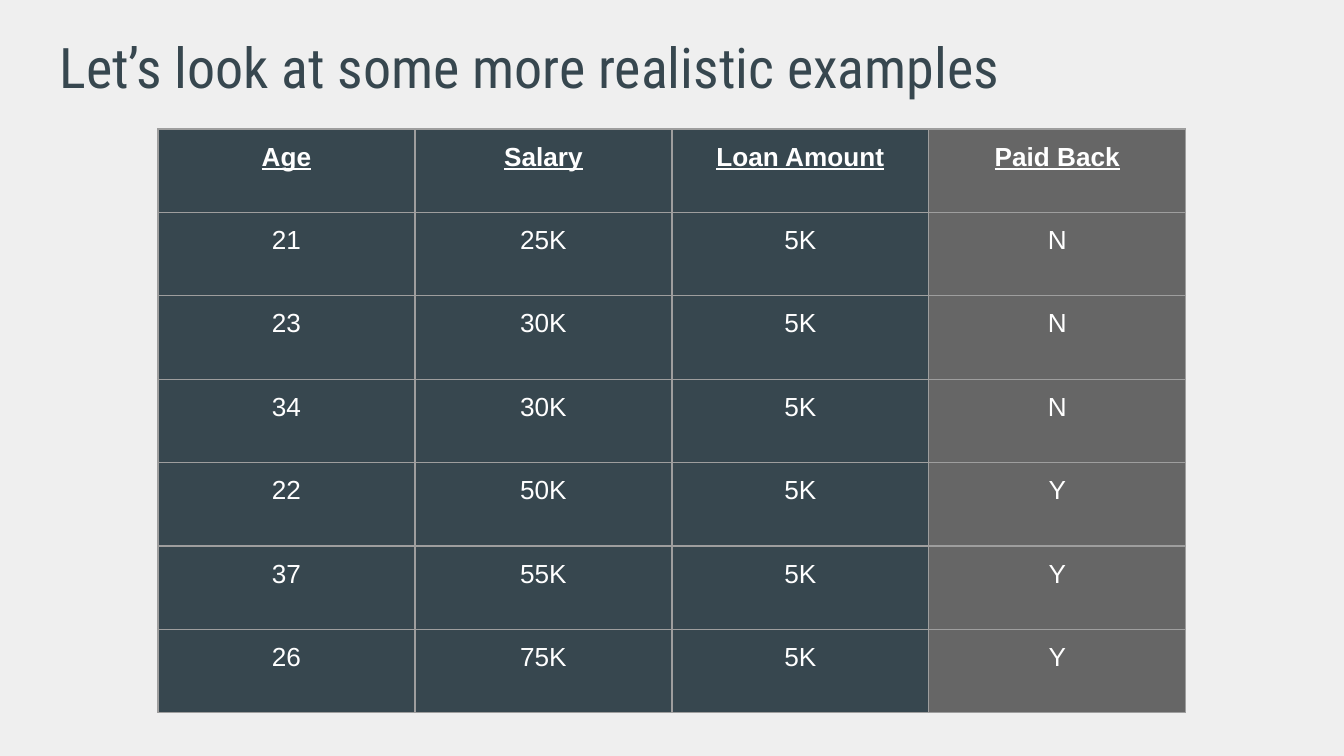
from pptx import Presentation
from pptx import util as u
from pptx.dml.color import RGBColor
from pptx.enum import text
from pptx.oxml import parse_xml
from pptx.oxml.ns import nsdecls

TITLE = "Let’s look at some more realistic examples"
HEADER = ("Age", "Salary", "Loan Amount", "Paid Back")
LOANS = [
    ("21", "25K", "5K", "N"),
    ("23", "30K", "5K", "N"),
    ("34", "30K", "5K", "N"),
    ("22", "50K", "5K", "Y"),
    ("37", "55K", "5K", "Y"),
    ("26", "75K", "5K", "Y"),
]
THEME = {
    "page": "EFEFEF", "feature": "37474F", "outcome": "666666",
    "ink": "FFFFFF", "border": "9E9E9E", "border_pt": 0.75,
    "title_font": "Roboto Condensed", "title_size": 30,
    "body_font": "Arial", "body_size": 14,
}
PAGE_SIZE = (1344, 756)
TITLE_BOX = (46, 19, 1252, 84)
TABLE_BOX = (158, 129, 1028, 584)
PAD = 0.1


def px(value):
    return u.Emu(round(value * 914400 / 134.4))


def color(name):
    return RGBColor.from_string(THEME[name])


def write(frame, words, font, size, ink, align, bold=False, underline=False):
    para = frame.paragraphs[0]
    para.alignment = align
    span = para.add_run()
    span.text = words
    span.font.name = font
    span.font.size = u.Pt(size)
    span.font.color.rgb = color(ink)
    span.font.bold = bold
    span.font.underline = underline


def set_padding(target):
    for side in ("left", "top", "right", "bottom"):
        setattr(target, f"margin_{side}", u.Inches(PAD))


def set_borders(cell):
    properties = cell._tc.get_or_add_tcPr()
    for index, side in enumerate(("lnL", "lnR", "lnT", "lnB")):
        properties.insert(index, parse_xml(
            f'<a:{side} {nsdecls("a")} w="{u.Pt(THEME["border_pt"])}">'
            f'<a:solidFill><a:srgbClr val="{THEME["border"]}"/></a:solidFill>'
            f'</a:{side}>'))


def add_title(page):
    box = page.shapes.title
    box.left, box.top, box.width, box.height = map(px, TITLE_BOX)
    frame = box.text_frame
    frame.word_wrap = True
    frame.auto_size = text.MSO_AUTO_SIZE.NONE
    frame.vertical_anchor = text.MSO_ANCHOR.TOP
    set_padding(frame)
    write(frame, TITLE, THEME["title_font"], THEME["title_size"], "feature",
          text.PP_ALIGN.LEFT)


def add_loans(page):
    rows = [HEADER, *LOANS]
    table = page.shapes.add_table(len(rows), len(HEADER), *map(px, TABLE_BOX)).table
    table.horz_banding = False
    for row, values in enumerate(rows):
        for column, value in enumerate(values):
            cell = table.cell(row, column)
            cell.fill.solid()
            cell.fill.fore_color.rgb = color(
                "outcome" if column == len(HEADER) - 1 else "feature")
            cell.vertical_anchor = text.MSO_ANCHOR.TOP
            set_padding(cell)
            set_borders(cell)
            write(cell.text_frame, value, THEME["body_font"], THEME["body_size"],
                  "ink", text.PP_ALIGN.CENTER, bold=row == 0, underline=row == 0)


def main():
    deck = Presentation()
    deck.slide_width, deck.slide_height = map(px, PAGE_SIZE)
    page = deck.slides.add_slide(deck.slide_layouts[5])
    page.background.fill.solid()
    page.background.fill.fore_color.rgb = color("page")
    add_loans(page)
    add_title(page)
    deck.save("out.pptx")


if __name__ == "__main__":
    main()
